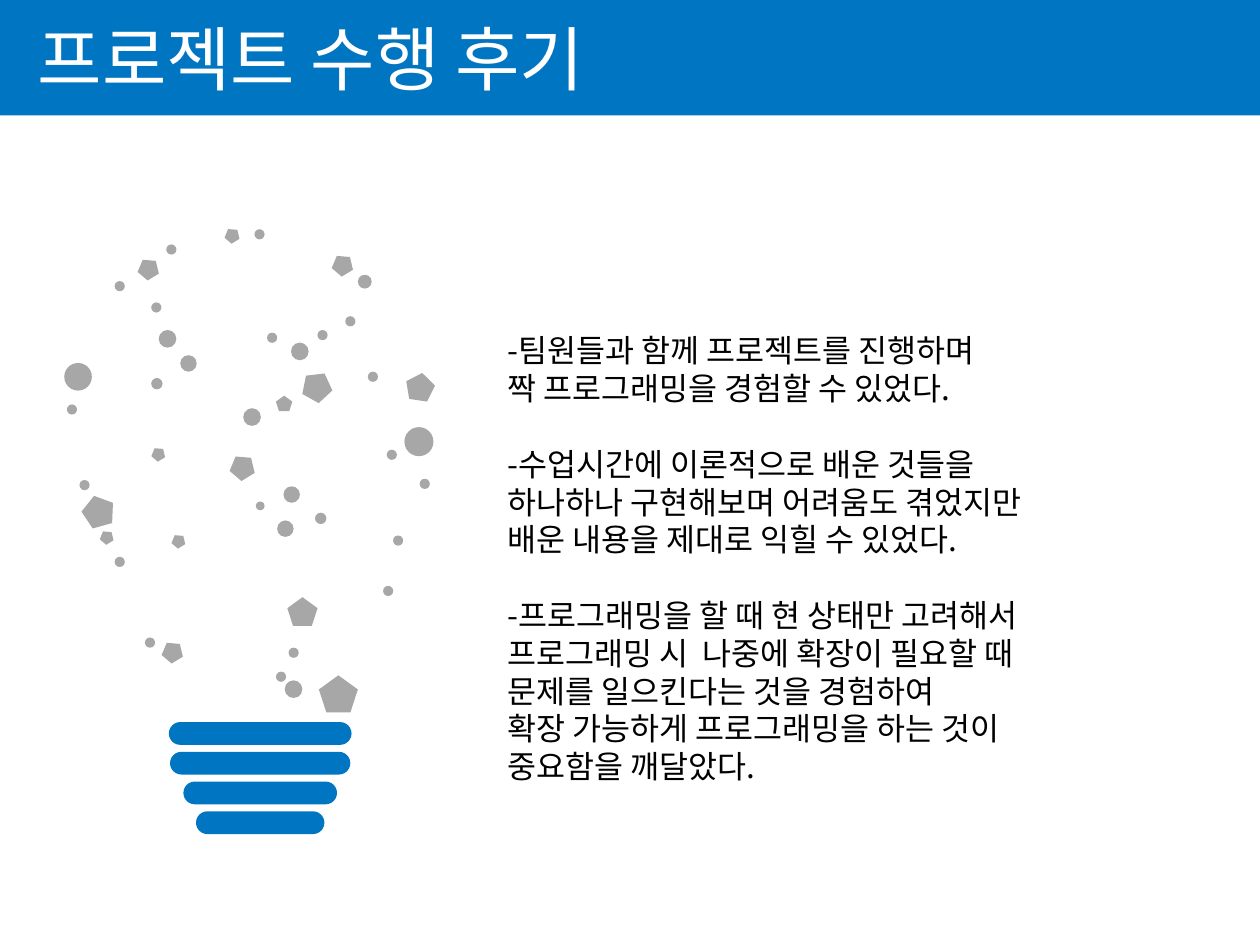
from lxml import etree
from pptx import Presentation
from pptx.dml.color import RGBColor
from pptx.enum import shapes, text
from pptx.oxml import ns
from pptx.util import Pt

HUES = {"blue": "0075C2", "gray": "A7A7A7", "white": "FFFFFF", "black": "000000"}
FONT = "Noto Sans CJK KR"
KIND = shapes.MSO_SHAPE

TITLE = "프로젝트 수행 후기"
NOTES = [
    ["-팀원들과 함께 프로젝트를 진행하며 \v짝 프로그래밍을 경험할 수 있었다."],
    ["-수업시간에 이론적으로 배운 것들을",
     "하나하나 구현해보며 어려움도 겪었지만",
     "배운 내용을 제대로 익힐 수 있었다."],
    ["-프로그래밍을 할 때 현 상태만 고려해서",
     "프로그래밍 시  나중에 확장이 필요할 때",
     "문제를 일으킨다는 것을 경험하여",
     "확장 가능하게 프로그래밍을 하는 것이",
     "중요함을 깨달았다."],
]

# Screw base of the bulb: bar widths from top to bottom
BARS = [104.4, 103, 87.8, 73.4]
MID, BASE, STEP, THICK = 148.7, 412.6, 17, 13

# Diameter: (left, top) of each dot
DOTS = {
    5: [(146.2, 286.6)],
    5.8: [(38.2, 231.1), (152.6, 190.1), (157.7, 383.8), (164.9, 370.1),
          (218.9, 334.8), (224.6, 306), (239.8, 273.6), (86.4, 172.8),
          (145.4, 131), (95, 139.7), (65.5, 160.6), (45.4, 274.3),
          (65.5, 318.2), (82.8, 364.3), (197.3, 180.7), (221, 257),
          (181.4, 188.6), (210.2, 212.4)],
    6.5: [(86.4, 216), (180, 293)],
    7.9: [(204.5, 157)],
    9.4: [(158.4, 297.4), (103, 203), (162, 277.9)],
    10.1: [(90.7, 188.6), (166.3, 195.8), (162.7, 388.8), (139, 233.3)],
    15.8: [(36.7, 207.4)],
    16.6: [(231.1, 244.1)],
}

# Turn in degrees: (left, top, width) of each pentagon
GEMS = {
    0: [(182.2, 385.9, 22.3), (157.7, 226.1, 9.4), (164.2, 341.3, 17.3)],
    8.5: [(231.8, 213.1, 16.6)],
    29.2: [(172.8, 212.4, 17.3)],
    328.6: [(92.2, 366.5, 12.2), (78.5, 147.6, 12.2), (128.2, 130.3, 8.6),
            (189.4, 145.4, 12.2), (56.9, 303.1, 7.9), (131, 259.9, 14.4),
            (86.4, 255.6, 7.9), (97.9, 305.3, 7.9)],
    344.4: [(46.8, 283, 18.7)],
}


def color(name):
    return RGBColor.from_string(HUES[name])


def write(para, words, size=18, hue="black", before=0):
    """Fill a paragraph and format its Latin and Korean letters."""
    para.text = words
    para.alignment = text.PP_ALIGN.LEFT
    para.line_spacing = Pt(size * 1.2)
    para.space_before = Pt(before)
    for run in para.runs:
        run.font.size = Pt(size)
        run.font.name = FONT
        run.font.color.rgb = color(hue)
        east = etree.SubElement(run.font._element, ns.qn("a:ea"))
        east.set("typeface", FONT)


class Deck:
    def __init__(self):
        self.file = Presentation()
        self.file.slide_width, self.file.slide_height = Pt(720), Pt(540)
        self.slide = self.file.slides.add_slide(self.file.slide_layouts[5])

    def shape(self, kind, x, y, w, h, hue, turn=0, home=None):
        """Draw a plain filled shape on the slide or in a group."""
        home = home or self.slide.shapes
        item = home.add_shape(kind, Pt(x), Pt(y), Pt(w), Pt(h))
        item.shadow.inherit = False
        item.fill.solid()
        item.fill.fore_color.rgb = color(hue)
        item.line.fill.background()
        item.rotation = turn
        return item

    def title(self, words, x, y, w, h):
        head = self.slide.shapes.title
        head.left, head.top, head.width, head.height = map(Pt, (x, y, w, h))
        self.slide.shapes._spTree.append(head._element)  # above the band
        frame = head.text_frame
        frame.word_wrap = False
        frame.auto_size = text.MSO_AUTO_SIZE.NONE
        frame.vertical_anchor = text.MSO_ANCHOR.TOP
        write(frame.paragraphs[0], words, size=40, hue="white")

    def body(self, parts, x, y, w, h, gap):
        frame = self.slide.shapes.add_textbox(*map(Pt, (x, y, w, h))).text_frame
        frame.word_wrap = True
        para = frame.paragraphs[0]
        for i, lines in enumerate(parts):
            for j, line in enumerate(lines):
                if i or j:
                    para = frame.add_paragraph()
                write(para, line, before=gap if i and not j else 0)

    def bulb(self):
        home = self.slide.shapes.add_group_shape().shapes
        for i, wide in enumerate(BARS):
            bar = self.shape(KIND.ROUNDED_RECTANGLE, MID - wide / 2,
                             BASE + i * STEP, wide, THICK, "blue", home=home)
            bar.adjustments[0] = 0.5
        for size, spots in DOTS.items():
            for x, y in spots:
                self.shape(KIND.OVAL, x, y, size, size, "gray", home=home)
        for turn, spots in GEMS.items():
            for x, y, wide in spots:
                self.shape(KIND.REGULAR_PENTAGON, x, y, wide, wide * 0.95,
                           "gray", turn, home)


def main():
    deck = Deck()
    deck.shape(KIND.RECTANGLE, 0, 0, 720, 66, "blue")
    deck.title(TITLE, 14.4, 5, 364.3, 55.4)
    deck.body(NOTES, 283, 185.8, 392.4, 269.3, gap=21.6)
    deck.bulb()
    deck.file.save("out.pptx")


if __name__ == "__main__":
    main()
